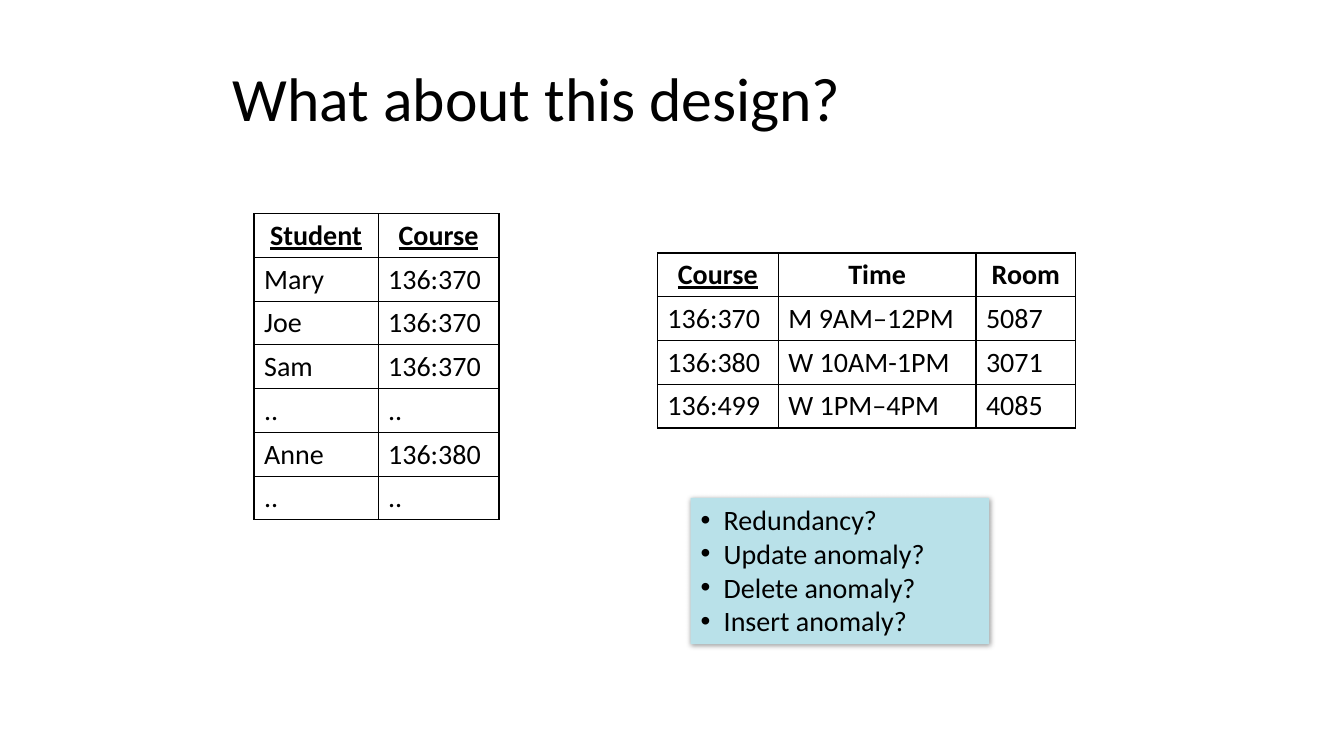
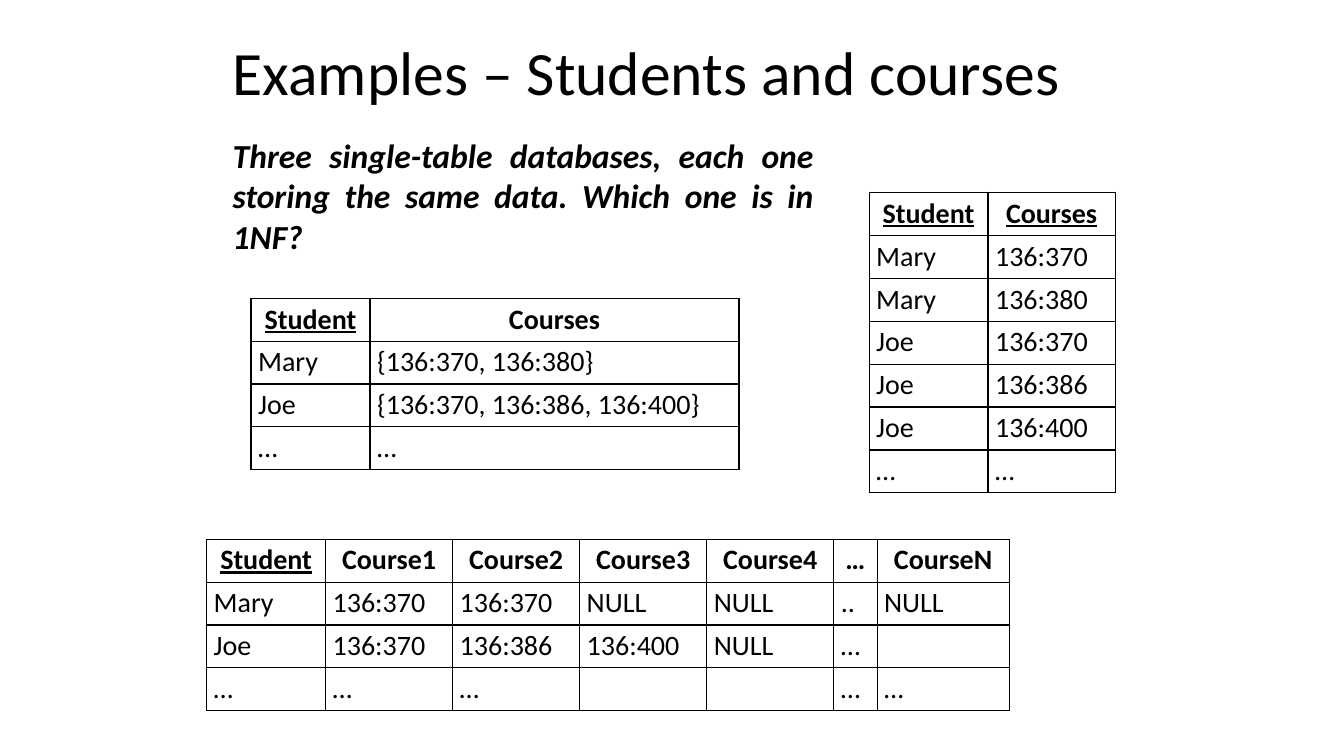
from lxml import etree
from pptx import Presentation
from pptx.dml.color import RGBColor
from pptx.enum.shapes import MSO_SHAPE
from pptx.enum.text import MSO_ANCHOR, PP_ALIGN
from pptx.oxml import parse_xml
from pptx.oxml.ns import qn
from pptx.util import Inches, Pt

RECTANGLE = MSO_SHAPE.RECTANGLE
TOP, MIDDLE = MSO_ANCHOR.TOP, MSO_ANCHOR.MIDDLE
LEFT, CENTER, JUSTIFY = PP_ALIGN.LEFT, PP_ALIGN.CENTER, PP_ALIGN.JUSTIFY
DRAWING_NS = 'xmlns:a="http://schemas.openxmlformats.org/drawingml/2006/main"'


def color(hex_text):
    return RGBColor.from_string(hex_text)


class SlideBuilder:
    font_name = "Calibri"
    ink = "000000"
    panel = "B9E1E9"
    title_size, question_size, body_size = 44, 24, 20
    text_left, title_width = 2.21, 8.84
    border_width = 1
    bullet_indent = 0.23

    def __init__(self):
        self.deck = Presentation()
        self.deck.slide_width = Inches(13.33)
        self.deck.slide_height = Inches(7.5)
        self.slide = None

    def new_slide(self):
        self.slide = self.deck.slides.add_slide(self.deck.slide_layouts[6])

    def style(self, paragraph, size, align=LEFT, bold=False, italic=False, underline=False):
        paragraph.alignment = align
        font = paragraph.font
        font.name = self.font_name
        font.size = Pt(size)
        font.bold, font.italic, font.underline = bold, italic, underline
        font.color.rgb = color(self.ink)

    def text(self, words, left, top, width, height, anchor=TOP):
        """Add a wrapping text box and return its paragraph, still unstyled."""
        box = self.slide.shapes.add_textbox(
            Inches(left), Inches(top), Inches(width), Inches(height))
        frame = box.text_frame
        frame.word_wrap = True
        frame.vertical_anchor = anchor
        frame.text = words
        return frame.paragraphs[0]

    def title(self, words, top, height):
        paragraph = self.text(words, self.text_left, top, self.title_width, height, MIDDLE)
        paragraph.line_spacing = 0.9
        self.style(paragraph, self.title_size)

    def question(self, words, top, width, height):
        paragraph = self.text(words, self.text_left, top, width, height)
        self.style(paragraph, self.question_size, JUSTIFY, bold=True, italic=True)

    def bullet_panel(self, items, left, top, width, height):
        panel = self.slide.shapes.add_shape(
            RECTANGLE, Inches(left), Inches(top), Inches(width), Inches(height))
        panel.fill.solid()
        panel.fill.fore_color.rgb = color(self.panel)
        panel.line.fill.background()
        self.add_shadow(panel)
        frame = panel.text_frame
        frame.word_wrap = True
        frame.vertical_anchor = TOP
        frame.text = "\n".join(items)
        for paragraph in frame.paragraphs:
            self.add_bullet(paragraph)
            self.style(paragraph, self.body_size)

    def add_shadow(self, shape):
        shape.shadow.inherit = False
        effects = shape.element.spPr.find(qn("a:effectLst"))
        effects.append(parse_xml(
            f'<a:outerShdw {DRAWING_NS} blurRad="{Pt(4)}" dist="{Pt(1)}" dir="2700000" '
            f'algn="tl" rotWithShape="0"><a:srgbClr val="{self.ink}">'
            '<a:alpha val="40000"/></a:srgbClr></a:outerShdw>'))

    def add_bullet(self, paragraph):
        properties = paragraph._p.get_or_add_pPr()
        indent = Inches(self.bullet_indent)
        properties.set("marL", str(indent))
        properties.set("indent", str(-indent))
        etree.SubElement(properties, qn("a:buFont")).set("typeface", "Arial")
        etree.SubElement(properties, qn("a:buChar")).set("char", "•")

    def table(self, rows, left, top, column_widths, height, keys=1, insets=(0.1, 0.05)):
        """Add a ruled table; the first `keys` headings are underlined."""
        table = self.slide.shapes.add_table(
            len(rows), len(column_widths), Inches(left), Inches(top),
            Inches(sum(column_widths)), Inches(height)).table
        table.first_row = table.horz_banding = False
        for column, width in zip(table.columns, column_widths):
            column.width = Inches(width)
        for row_index, words in enumerate(rows):
            table.rows[row_index].height = Inches(height / len(rows))
            is_header = row_index == 0
            for column_index, word in enumerate(words):
                cell = table.cell(row_index, column_index)
                cell.text = word
                cell.margin_left = cell.margin_right = Inches(insets[0])
                cell.margin_top = cell.margin_bottom = Inches(insets[1])
                cell.fill.background()
                self.add_borders(cell)
                self.style(cell.text_frame.paragraphs[0], self.body_size,
                           CENTER if is_header else LEFT, bold=is_header,
                           underline=is_header and column_index < keys)

    def add_borders(self, cell):
        properties = cell._tc.get_or_add_tcPr()
        for position, side in enumerate(("lnL", "lnR", "lnT", "lnB")):
            properties.insert(position, parse_xml(
                f'<a:{side} {DRAWING_NS} w="{Pt(self.border_width)}"><a:solidFill>'
                f'<a:srgbClr val="{self.ink}"/></a:solidFill></a:{side}>'))


def add_design_slide(builder):
    builder.new_slide()
    builder.title("What about this design?", 0.55, 0.91)
    builder.bullet_panel(
        ["Redundancy?", "Update anomaly?", "Delete anomaly?", "Insert anomaly?"],
        6.85, 4.94, 2.96, 1.45)
    enrolments = [
        ("Student", "Course"),
        ("Mary", "136:370"),
        ("Joe", "136:370"),
        ("Sam", "136:370"),
        ("..", ".."),
        ("Anne", "136:380"),
        ("..", ".."),
    ]
    builder.table(enrolments, 2.52, 2.12, [1.23, 1.2], 3.03, keys=2)
    schedule = [
        ("Course", "Time", "Room"),
        ("136:370", "M 9AM–12PM", "5087"),
        ("136:380", "W 10AM-1PM", "3071"),
        ("136:499", "W 1PM–4PM", "4085"),
    ]
    builder.table(schedule, 6.52, 2.51, [1.2, 1.96, 0.99], 1.73)


def add_examples_slide(builder):
    student_width, course_width = 1.18, 1.26
    insets = (0.07, 0.04)
    builder.new_slide()
    builder.title("Examples – Students and courses", 0.2, 1.09)
    builder.question(
        "Three single-table databases, each one storing the same data. "
        "Which one is in 1NF?", 1.29, 5.96, 1.31)
    course_sets = [
        ("Student", "Courses"),
        ("Mary", "{136:370, 136:380}"),
        ("Joe", "{136:370, 136:386, 136:400}"),
        ("…", "…"),
    ]
    builder.table(course_sets, 2.49, 2.96, [student_width, 3.66], 1.7, insets=insets)
    course_rows = [
        ("Student", "Courses"),
        ("Mary", "136:370"),
        ("Mary", "136:380"),
        ("Joe", "136:370"),
        ("Joe", "136:386"),
        ("Joe", "136:400"),
        ("…", "…"),
    ]
    builder.table(course_rows, 8.62, 1.91, [student_width, course_width], 2.98,
                  keys=2, insets=insets)
    course_columns = [
        ("Student", "Course1", "Course2", "Course3", "Course4", "…", "CourseN"),
        ("Mary", "136:370", "136:370", "NULL", "NULL", "..", "NULL"),
        ("Joe", "136:370", "136:386", "136:400", "NULL", "…", ""),
        ("…", "…", "…", "", "", "…", "…"),
    ]
    builder.table(course_columns, 2.05, 5.35,
                  [student_width] + [course_width] * 4 + [0.43, 1.31], 1.7, insets=insets)


def main():
    builder = SlideBuilder()
    add_design_slide(builder)
    add_examples_slide(builder)
    builder.deck.save("out.pptx")


if __name__ == "__main__":
    main()
